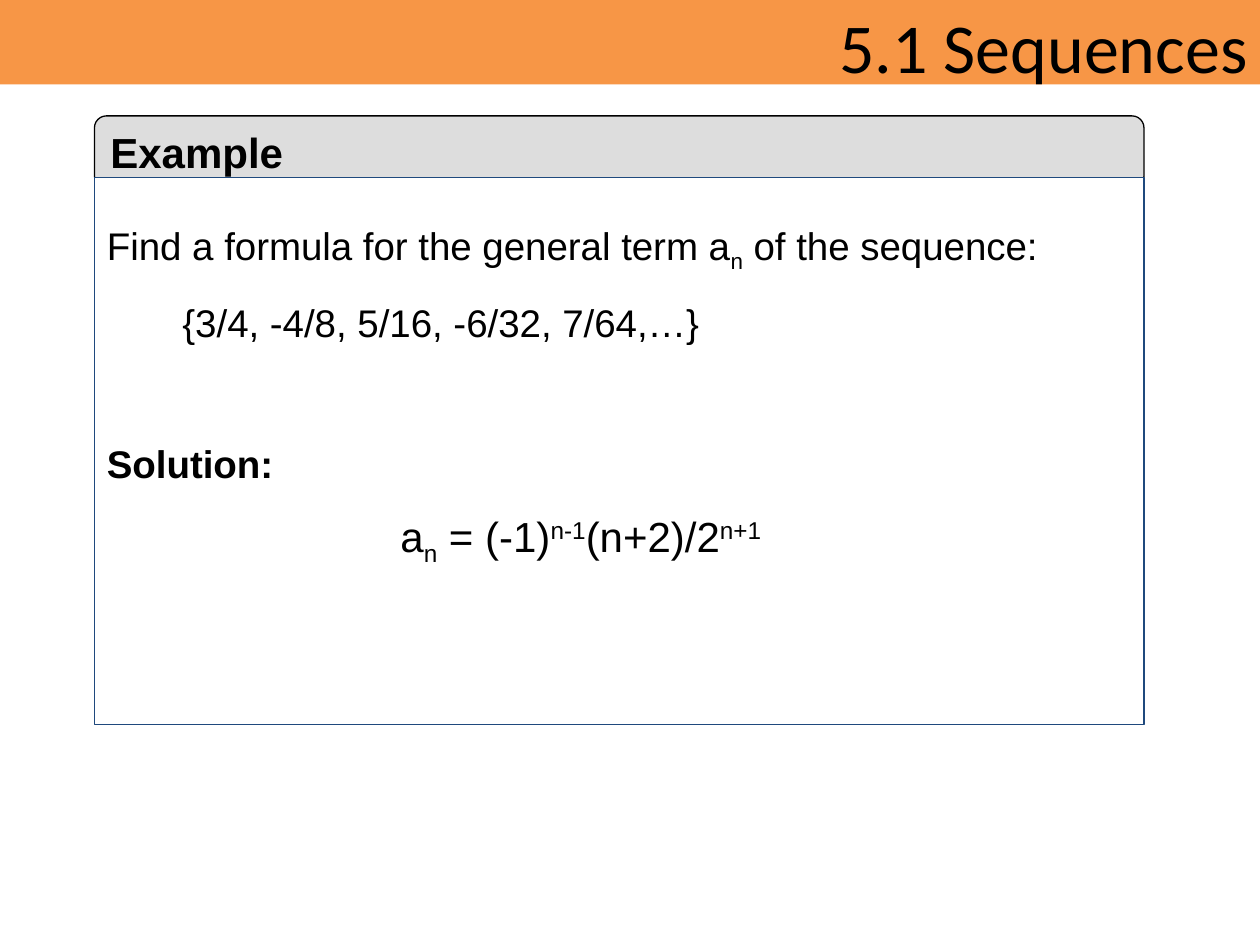
from typing import NamedTuple, Optional

from pptx import Presentation
from pptx.dml.color import RGBColor
from pptx.enum.shapes import MSO_SHAPE
from pptx.enum.text import MSO_ANCHOR, PP_ALIGN
from pptx.util import Inches, Pt

RECTANGLE = MSO_SHAPE.RECTANGLE
ROUNDED = MSO_SHAPE.ROUNDED_RECTANGLE
TOP, MIDDLE = MSO_ANCHOR.TOP, MSO_ANCHOR.MIDDLE
LEFT, RIGHT = PP_ALIGN.LEFT, PP_ALIGN.RIGHT
SUBSCRIPT, SUPERSCRIPT = -25, 30


class Piece(NamedTuple):
    text: str
    baseline: int = 0


class Line(NamedTuple):
    pieces: list[Piece]
    size: float
    font: str = "Arial"
    bold: bool = False
    align: PP_ALIGN = LEFT
    space_before: float = 0
    indent: float = 0


class Panel(NamedTuple):
    box: tuple[float, float, float, float]
    lines: list[Line]
    kind: Optional[MSO_SHAPE] = None
    fill: str = "FFFFFF"
    outline: Optional[str] = None
    anchor: MSO_ANCHOR = TOP
    margin_top: float = 0.05
    margin_bottom: float = 0.05


def color(value: str) -> RGBColor:
    return RGBColor.from_string(value)


def write_lines(frame, lines: list[Line]) -> None:
    for index, line in enumerate(lines):
        paragraph = frame.paragraphs[0] if index == 0 else frame.add_paragraph()
        paragraph.alignment = line.align
        if line.space_before:
            paragraph.space_before = Pt(line.space_before)
        if line.indent:
            properties = paragraph._p.get_or_add_pPr()
            properties.set("marL", str(Inches(line.indent)))
            properties.set("indent", "0")
        for piece in line.pieces:
            run = paragraph.add_run()
            run.text = piece.text
            run.font.name = line.font
            run.font.size = Pt(line.size)
            run.font.bold = line.bold
            run.font.color.rgb = color("000000")
            if piece.baseline:
                run._r.get_or_add_rPr().set("baseline", str(piece.baseline * 1000))


def draw_panel(slide, panel: Panel) -> None:
    box = [Inches(length) for length in panel.box]
    if panel.kind is None:
        shape = slide.shapes.add_textbox(*box)
    else:
        shape = slide.shapes.add_shape(panel.kind, *box)
        shape.shadow.inherit = False
        shape.fill.solid()
        shape.fill.fore_color.rgb = color(panel.fill)
        if panel.outline:
            shape.line.color.rgb = color(panel.outline)
            shape.line.width = Pt(0.75)
        else:
            shape.line.fill.background()
    frame = shape.text_frame
    frame.word_wrap = True
    frame.vertical_anchor = panel.anchor
    frame.margin_top = Inches(panel.margin_top)
    frame.margin_bottom = Inches(panel.margin_bottom)
    write_lines(frame, panel.lines)


PANELS = [
    # Title band
    Panel((0, 0, 10, 0.67),
          [Line([Piece("5.1 Sequences")], 40, font="Calibri", align=RIGHT)],
          RECTANGLE, "F79646", margin_top=0.03, margin_bottom=0),
    # Example heading, its lower edge covered by the problem panel
    Panel((0.75, 0.92, 8.33, 0.57),
          [Line([Piece("Example")], 24, bold=True)],
          ROUNDED, "DDDDDD", "000000", MIDDLE),
    # Problem and solution heading
    Panel((0.75, 1.41, 8.33, 4.34),
          [Line([Piece("Find a formula for the general term a"),
                 Piece("n", SUBSCRIPT),
                 Piece(" of the sequence:")], 22),
           Line([Piece("{3/4, -4/8, 5/16, -6/32, 7/64,…}")], 22,
                space_before=14, indent=0.6),
           Line([Piece("Solution:")], 22, bold=True, space_before=54.5)],
          RECTANGLE, "FFFFFF", "1F497D", margin_top=0.35),
    # Formula
    Panel((3.08, 4, 3.33, 0.56),
          [Line([Piece("a"), Piece("n", SUBSCRIPT),
                 Piece(" = (-1)"), Piece("n-1", SUPERSCRIPT),
                 Piece("(n+2)/2"), Piece("n+1", SUPERSCRIPT)], 24)]),
]


def main() -> None:
    presentation = Presentation()
    presentation.slide_width = Inches(10)
    presentation.slide_height = Inches(7.5)
    slide = presentation.slides.add_slide(presentation.slide_layouts[6])
    for panel in PANELS:
        draw_panel(slide, panel)
    presentation.save("out.pptx")


if __name__ == "__main__":
    main()
